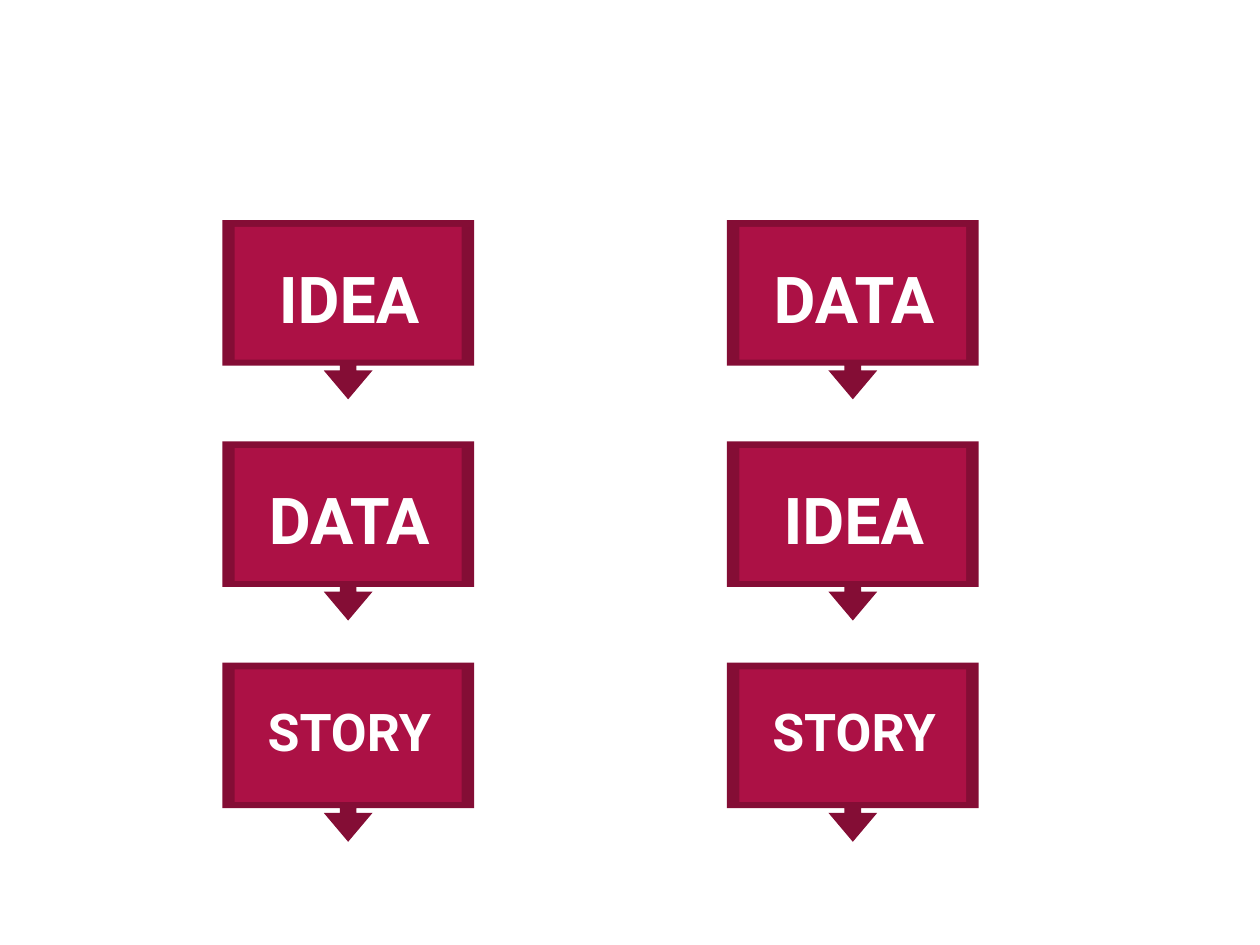
"""Build a slide with two three-step flows from idea and data to story."""
import pptx
import pptx.util
import pptx.dml.color
import pptx.enum.shapes
import pptx.enum.text

Inches = pptx.util.Inches
Pt = pptx.util.Pt
PRESETS = pptx.enum.shapes.MSO_SHAPE


def color(value):
    return pptx.dml.color.RGBColor.from_string(value)


def add_block(preset, left, top, width, height, fill):
    block = slide.shapes.add_shape(
        preset, Inches(left), Inches(top), Inches(width), Inches(height))
    block.shadow.inherit = False
    block.fill.solid()
    block.fill.fore_color.rgb = color(fill)
    block.line.fill.background()
    return block


deck = pptx.Presentation()
deck.slide_width = Inches(11.11)
deck.slide_height = Inches(8.33)
slide = deck.slides.add_slide(deck.slide_layouts[6])

flows = [["IDEA", "DATA", "STORY"], ["DATA", "IDEA", "STORY"]]
step_sizes = [41, 41, 33]
first_left, flow_pitch = 1.96, 4.45
first_top, step_pitch = 1.94, 1.95

for column, steps in enumerate(flows):
    left = first_left + column * flow_pitch
    for row, (step, size) in enumerate(zip(steps, step_sizes)):
        top = first_top + row * step_pitch

        callout = add_block(PRESETS.DOWN_ARROW_CALLOUT, left, top, 2.22, 1.58, "840D35")
        for index, ratio in enumerate([0.105, 0.155, 0.18, 0.812]):
            callout.adjustments[index] = [0.093, 0.136, 0.161, 0.812][index] if ratio else 0
        add_block(PRESETS.RECTANGLE, left + 0.11, top + 0.06, 2, 1.17, "AC1145")

        label = slide.shapes.add_textbox(
            Inches(left + 0.28), Inches(top + 0.13), Inches(1.68), Inches(0.97))
        frame = label.text_frame
        frame.word_wrap = True
        frame.vertical_anchor = pptx.enum.text.MSO_ANCHOR.TOP
        frame.margin_left = frame.margin_right = Inches(0.11)
        frame.margin_top = frame.margin_bottom = Inches(0.11)
        paragraph = frame.paragraphs[0]
        paragraph.alignment = pptx.enum.text.PP_ALIGN.CENTER
        paragraph.line_spacing = 1.15
        paragraph.space_after = Pt(18)
        run = paragraph.add_run()
        run.text = step
        run.font.name = "Roboto"
        run.font.size = Pt(size)
        run.font.bold = True
        run.font.color.rgb = color("FFFFFF")

deck.save("out.pptx")
